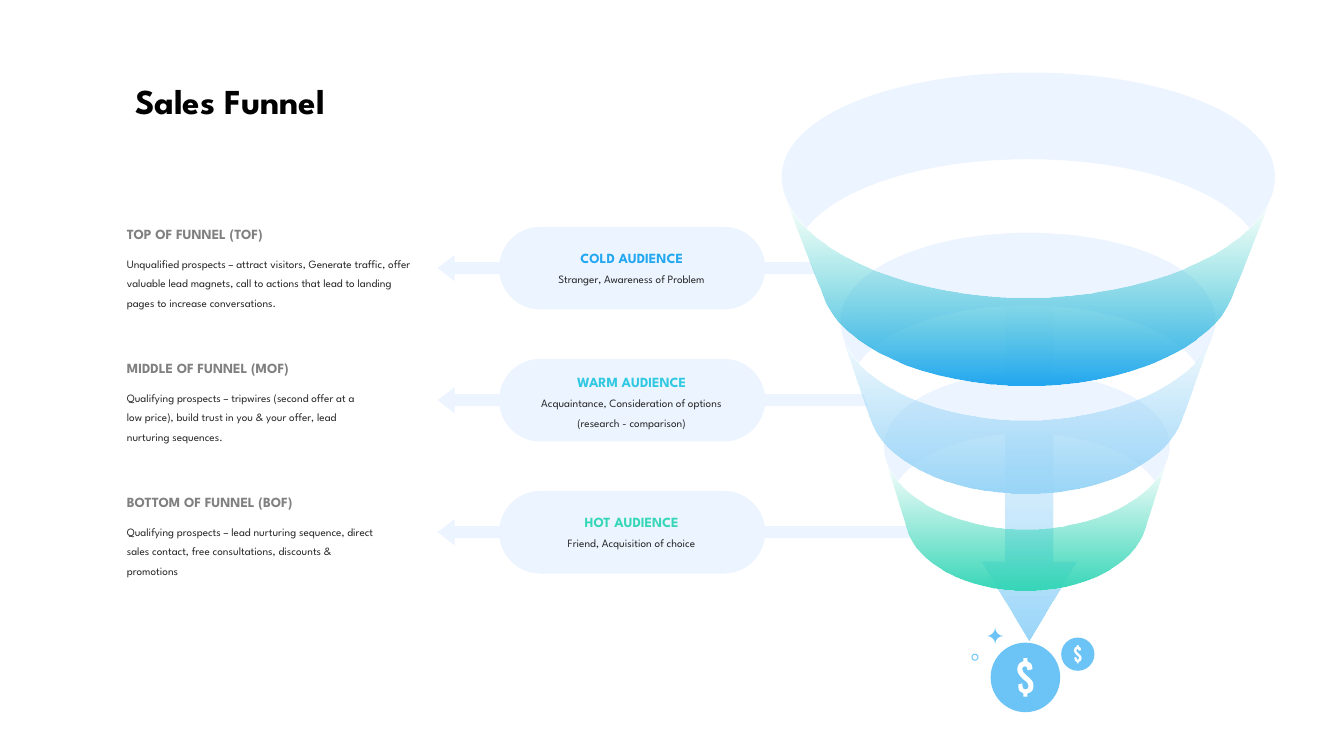
from pptx import Presentation
from pptx.dml.color import RGBColor
from pptx.enum.shapes import MSO_SHAPE
from pptx.enum.text import PP_ALIGN
from pptx.oxml.ns import qn
from pptx.util import Inches, Pt
from lxml import etree

OVAL, PILL, DOWN_ARROW = MSO_SHAPE.OVAL, MSO_SHAPE.ROUNDED_RECTANGLE, MSO_SHAPE.DOWN_ARROW
LEFT, CENTER = PP_ALIGN.LEFT, PP_ALIGN.CENTER
FONT = "League Spartan"
COLORS = {
    "pale": "ECF4FF", "sky": "6CC4F6", "light": "9AD6F8", "blue": "22A7F0",
    "cyan": "30C9E1", "green": "36D7B8", "gray": "808080", "ink": "262626",
    "black": "000000", "white": "FFFFFF",
}

deck = Presentation()
deck.slide_width, deck.slide_height = Inches(13.33), Inches(7.5)
page = deck.slides.add_slide(deck.slide_layouts[6])


def paint(shape, fill):
    """Fill with a colour name, or with two (name, opacity %) stops from top to bottom."""
    shape.shadow.inherit = False
    shape.line.fill.background()
    if isinstance(fill, str):
        shape.fill.solid()
        shape.fill.fore_color.rgb = RGBColor.from_string(COLORS[fill])
        return
    shape.fill.gradient()
    shape.fill.gradient_angle = 270
    for stop, position, (name, opacity) in zip(shape.fill.gradient_stops, (0, 1), fill):
        stop.position = position
        stop.color.rgb = RGBColor.from_string(COLORS[name])
    tints = shape._element.spPr.findall(".//" + qn("a:srgbClr"))
    for tint, (name, opacity) in zip(tints, fill):
        etree.SubElement(tint, qn("a:alpha")).set("val", str(opacity * 1000))


def draw(outline, fill, origin=(0, 0), scale=1):
    """Draw an outline whose steps are points (2 numbers) or Bézier curves (6 numbers)."""
    placed = [[Inches(origin[i % 2] + value * scale) for i, value in enumerate(step)]
              for step in outline]
    builder = page.shapes.build_freeform(*placed[0])
    builder.add_line_segments([step[-2:] for step in placed[1:]], close=True)
    shape = builder.convert_to_shape()
    # Turn the straight segments of curved steps into Bézier segments
    segments = shape._element.spPr.findall(".//" + qn("a:lnTo"))
    for segment, step in zip(segments, placed[1:]):
        if len(step) == 6:
            segment.tag = qn("a:cubicBezTo")
            segment.remove(segment[0])
            for x, y in zip(step[::2], step[1::2]):
                point = etree.SubElement(segment, qn("a:pt"))
                point.set("x", str(x - shape.left))
                point.set("y", str(y - shape.top))
    paint(shape, fill)


# Rows: stage heading, text, width, audience, note, colour, note top, note height, stem end
ROWS = [
    ("TOP OF FUNNEL (TOF)",
     "Unqualified prospects – attract visitors, Generate traffic, offer valuable lead magnets, "
     "call to actions that lead to landing pages to increase conversations.",
     3.13, "COLD AUDIENCE", "Stranger, Awareness of Problem", "blue", 2.4, 0.47, 8.04),
    ("MIDDLE OF FUNNEL (MOF)",
     "Qualifying prospects – tripwires (second offer at a low price), build trust in you & "
     "your offer, lead nurturing sequences.",
     2.55, "WARM AUDIENCE", "Acquaintance, Consideration of options (research - comparison)",
     "cyan", 3.63, 0.67, 8.56),
    ("BOTTOM OF FUNNEL (BOF)",
     "Qualifying prospects – lead nurturing sequence, direct sales contact, free consultations, "
     "discounts & promotions",
     2.76, "HOT AUDIENCE", "Friend, Acquisition of choice", "green", 5.02, 0.47, 8.99),
]
for row, (stage, detail, width, audience, note, color, top, height, end) in enumerate(ROWS):
    # Arrow and pill
    middle = 2.66 + 1.31 * row
    draw([(4.51, -0.13), (4.51, -0.06), (end, -0.06), (end + 0.05, 0.06),
          (4.51, 0.06), (4.51, 0.13), (4.34, 0)], "pale", (0, middle))
    pill = page.shapes.add_shape(PILL, Inches(4.95), Inches(middle - 0.41), Inches(2.64), Inches(0.82))
    pill.adjustments[0] = 0.5
    paint(pill, "pale")
    # Stage text and audience text
    blocks = [
        (1.16, 2.16 + 1.33 * row, width, 0.95, LEFT, 6, stage, "gray", detail),
        (5.15, top, 2.23, height, CENTER, 0, audience, color, note),
    ]
    for left, block_top, block_width, block_height, align, gap, heading, tone, body in blocks:
        box = page.shapes.add_textbox(
            Inches(left), Inches(block_top), Inches(block_width), Inches(block_height))
        box.text_frame.word_wrap = True
        box.text_frame.text = heading + "\n" + body
        styles = [(10, tone, True, gap), (8, "ink", False, 6)]
        for paragraph, (size, ink, bold, after) in zip(box.text_frame.paragraphs, styles):
            paragraph.alignment = align
            paragraph.line_spacing = Pt(14)
            paragraph.space_after = Pt(after)
            span = paragraph.runs[0]
            span.font.name, span.font.size, span.font.bold = FONT, Pt(size), bold
            span.font.color.rgb = RGBColor.from_string(COLORS[ink])

# Title
title = page.shapes.add_textbox(Inches(1.14), Inches(0.74), Inches(2.28), Inches(0.52))
title.text_frame.word_wrap = False
title.text_frame.text = "Sales Funnel"
title.text_frame.paragraphs[0].alignment = CENTER
span = title.text_frame.paragraphs[0].runs[0]
span.font.name, span.font.size, span.font.bold = FONT, Pt(25), True
span.font.color.rgb = RGBColor.from_string(COLORS["black"])

# Funnel: top rim, then the arrow that falls through it
draw([(12.39, 2.26), (12.08, 1.86, 11.23, 1.58, 10.2, 1.58), (9.17, 1.58, 8.32, 1.86, 8, 2.26),
      (7.87, 2.13, 7.78, 1.98, 7.76, 1.83), (7.66, 1.21, 8.76, 0.72, 10.21, 0.72),
      (11.65, 0.72, 12.74, 1.21, 12.64, 1.83), (12.62, 1.98, 12.53, 2.13, 12.39, 2.26)], "pale")
fall = page.shapes.add_shape(DOWN_ARROW, Inches(9.73), Inches(2.28), Inches(0.95), Inches(4.07))
fall.adjustments[0], fall.adjustments[1] = 0.5, 0.83
paint(fall, [("pale", 0), ("sky", 70)])

# Funnel: lower rims and bands, from the bottom up
draw([(11.45, 4.77), (11.27, 4.5, 10.78, 4.3, 10.18, 4.3), (9.59, 4.3, 9.1, 4.5, 8.91, 4.77),
      (8.83, 4.68, 8.78, 4.58, 8.77, 4.47), (8.73, 4.05, 9.36, 3.7, 10.19, 3.7),
      (11.01, 3.7, 11.64, 4.05, 11.6, 4.47), (11.58, 4.58, 11.53, 4.68, 11.45, 4.77)], "pale")
draw([(10.18, 5.25), (10.85, 5.25, 11.44, 4.95, 11.57, 4.57), (11.35, 5.25),
      (11.25, 5.59, 10.75, 5.86, 10.17, 5.86), (9.58, 5.86, 9.07, 5.58, 8.99, 5.23),
      (8.79, 4.59), (8.93, 4.96, 9.51, 5.25, 10.18, 5.25)], [("green", 0), ("green", 100)])
draw([(11.86, 3.6), (11.62, 3.26, 10.97, 3.03, 10.19, 3.03), (9.41, 3.03, 8.76, 3.26, 8.52, 3.6),
      (8.42, 3.49, 8.35, 3.37, 8.34, 3.24), (8.27, 2.73, 9.11, 2.31, 10.2, 2.31),
      (11.29, 2.31, 12.12, 2.73, 12.05, 3.24), (12.03, 3.37, 11.96, 3.49, 11.86, 3.6)], "pale")
draw([(10.18, 4.17), (11.06, 4.17, 11.84, 3.81, 12.01, 3.36), (11.72, 4.17),
      (11.58, 4.58, 10.93, 4.9, 10.18, 4.9), (9.41, 4.9, 8.75, 4.57, 8.63, 4.14),
      (8.37, 3.38), (8.55, 3.82, 9.31, 4.17, 10.18, 4.17)], [("light", 12), ("light", 100)])
draw([(10.19, 2.95), (11.35, 2.95, 12.36, 2.52, 12.6, 1.97), (12.21, 2.95),
      (12.02, 3.44, 11.16, 3.82, 10.18, 3.82), (9.19, 3.82, 8.32, 3.43, 8.16, 2.92),
      (7.8, 2), (8.05, 2.53, 9.05, 2.95, 10.19, 2.95)], [("green", 0), ("blue", 100)])

# Coins: the dollar sign is drawn around its centre, in hundredths of an inch
DOLLAR = [
    (2, -16), (5, -15, 7, -13, 7, -9), (7, -8), (2, -7), (2, -8), (2, -10, 1, -11, 0, -11),
    (-2, -11, -3, -10, -3, -9), (-3, -8), (-3, -6, -2, -5, 1, -2), (6, 2, 8, 4, 8, 8), (8, 9),
    (8, 13, 6, 15, 2, 16), (2, 19), (-2, 19), (-2, 16), (-5, 15, -7, 13, -7, 9), (-7, 7),
    (-3, 6), (-3, 8), (-3, 11, -2, 12, 0, 12), (2, 12, 3, 11, 3, 9), (3, 8),
    (3, 6, 2, 5, -2, 2), (-6, -2, -8, -4, -8, -8), (-8, -12, -6, -15, -2, -16), (-2, -19), (2, -19),
]
for x, y, size in [(10.17, 6.72, 0.69), (10.69, 6.49, 0.33)]:
    coin = page.shapes.add_shape(
        OVAL, Inches(x - size / 2), Inches(y - size / 2), Inches(size), Inches(size))
    paint(coin, "sky")
    draw(DOLLAR, "white", (x, y), size / 69)

# Small ring and sparkle
ring = page.shapes.add_shape(OVAL, Inches(9.64), Inches(6.49), Inches(0.06), Inches(0.06))
ring.shadow.inherit = False
ring.fill.background()
ring.line.color.rgb = RGBColor.from_string(COLORS["sky"])
ring.line.width = Pt(0.71)
draw([(0, 8), (0, 3, 4, 0, 8, 0), (4, 0, 0, -4, 0, -8),
      (0, -4, -4, 0, -8, 0), (-4, 0, 0, 3, 0, 8)], "sky", (9.87, 6.31), 0.01)

deck.save("out.pptx")
